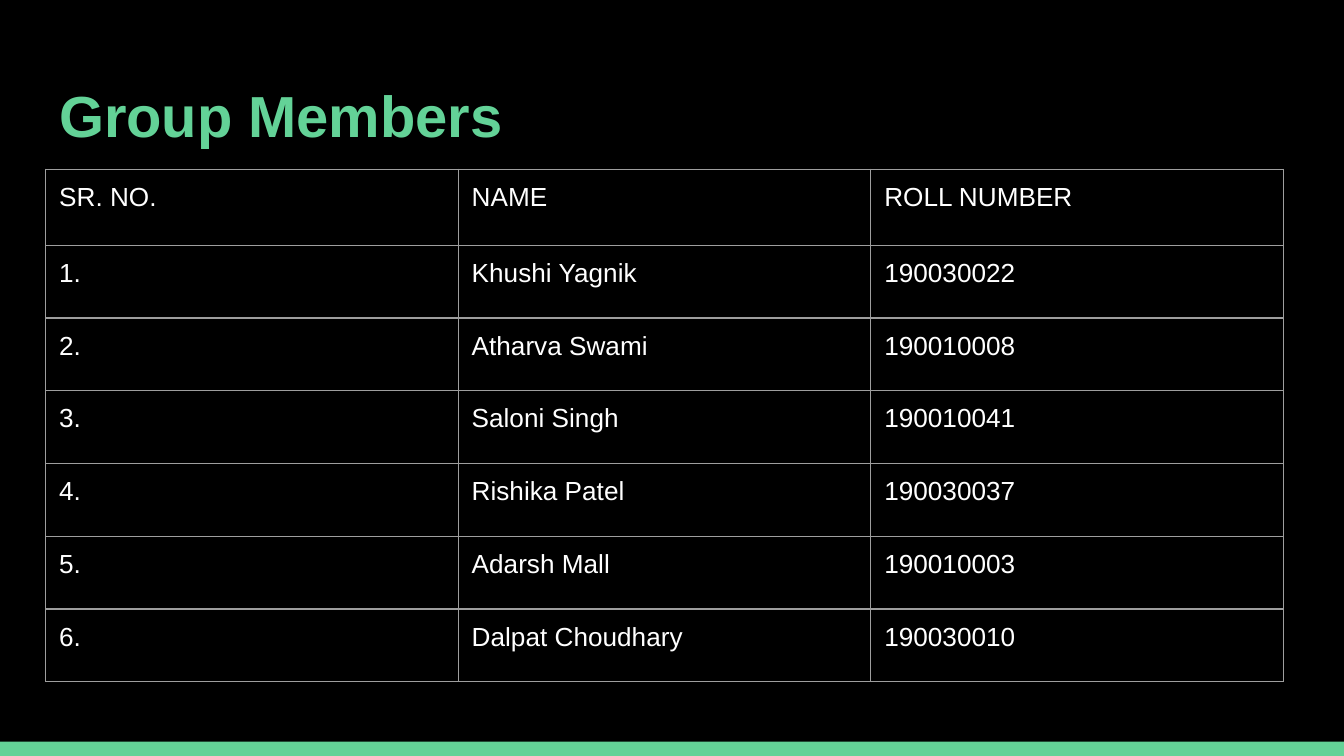
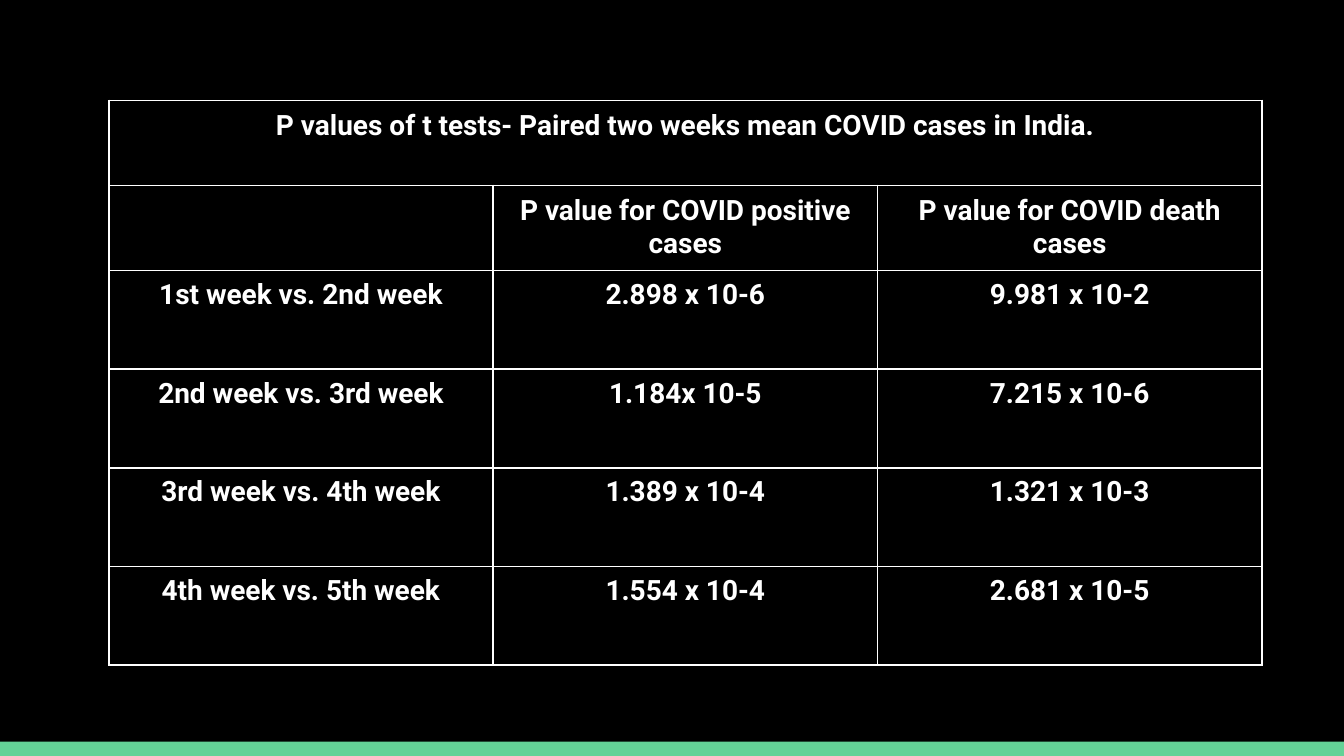
from dataclasses import dataclass

from lxml import etree
from pptx import Presentation
from pptx import util as u
from pptx.dml.color import RGBColor
from pptx.enum import shapes, text
from pptx.oxml import ns

WIDTH, HEIGHT = u.Inches(10), u.Inches(5.625)
BLACK, GREEN, WHITE, GREY = "000000", "63D297", "FFFFFF", "9E9E9E"
LEFT, CENTER = text.PP_ALIGN.LEFT, text.PP_ALIGN.CENTER


@dataclass(frozen=True)
class Row:
    """A table row: its texts, height in percent of the slide, margin and space after."""
    texts: tuple
    height: float
    margin: float = 0.1
    after: float = 0


@dataclass(frozen=True)
class Grid:
    """A table: place and column width in percent of the slide, border and text format."""
    left: float
    top: float
    column: float
    border: str
    line: float
    align: int
    font: dict
    rows: tuple


MEMBERS = (("Khushi Yagnik", "190030022"), ("Atharva Swami", "190010008"),
           ("Saloni Singh", "190010041"), ("Rishika Patel", "190030037"),
           ("Adarsh Mall", "190010003"), ("Dalpat Choudhary", "190030010"))
P_VALUES = (("1st week vs. 2nd week", "2.898 x 10-6", "9.981 x 10-2"),
            ("2nd week vs. 3rd week", "1.184x 10-5", "7.215 x 10-6"),
            ("3rd week vs. 4th week", "1.389 x 10-4", "1.321 x 10-3"),
            ("4th week vs. 5th week", "1.554 x 10-4", "2.681 x 10-5"))

TITLE_FONT = {"name": "Arial", "size": u.Pt(31), "bold": True}
MEMBER_GRID = Grid(
    3.4, 22.4, 30.7, GREY, 0.75, LEFT,
    {"name": "Arial", "size": u.Pt(14), "bold": False},
    (Row(("SR. NO.", "NAME", "ROLL NUMBER"), 10.05),
     *(Row((f"{n}.", *member), 9.63) for n, member in enumerate(MEMBERS, 1))))
P_VALUE_GRID = Grid(
    8.1, 13.3, 28.6, WHITE, 1, CENTER,
    {"name": "Roboto", "size": u.Pt(15), "bold": True},
    (Row(("P values of t tests- Paired two weeks mean COVID cases in India.",),
         11.24, 0.07),
     Row(("", "P value for COVID positive cases", "P value for COVID death cases"),
         11.24, 0.07),
     *(Row(values, 13.06, 0.06, 15) for values in P_VALUES)))


def across(percent: float) -> int:
    """Turn a share of the slide's width into a length."""
    return round(WIDTH * percent / 100)


def down(percent: float) -> int:
    """Turn a share of the slide's height into a length."""
    return round(HEIGHT * percent / 100)


def paint(fill, color: str) -> None:
    """Fill with one solid colour."""
    fill.solid()
    fill.fore_color.rgb = RGBColor.from_string(color)


def assign(target, formats: dict) -> None:
    """Set each format value as an attribute."""
    for name, value in formats.items():
        setattr(target, name, value)


def write(p, words: str, font: dict, color: str, align: int, after: float = 0) -> None:
    """Write one formatted run into a paragraph."""
    assign(p, {"alignment": align, "space_after": u.Pt(after)})
    r = p.add_run()
    r.text = words
    assign(r.font, font)
    r.font.color.rgb = RGBColor.from_string(color)


def add_borders(cell, color: str, width: float) -> None:
    """Draw the four sides of a cell."""
    tc_pr = cell._tc.get_or_add_tcPr()
    for i, side in enumerate(("a:lnL", "a:lnR", "a:lnT", "a:lnB")):
        ln = etree.Element(ns.qn(side), w=str(u.Pt(width)))
        fill = etree.SubElement(ln, ns.qn("a:solidFill"))
        etree.SubElement(fill, ns.qn("a:srgbClr"), val=color)
        tc_pr.insert(i, ln)


def add_title(slide, words: str) -> None:
    """Place and fill the title placeholder."""
    sp = slide.shapes.title
    assign(sp, {"left": across(3.4), "top": down(8.7),
                "width": across(93.2), "height": down(11.2)})
    tf = sp.text_frame
    margins = dict.fromkeys(
        ("margin_left", "margin_right", "margin_top", "margin_bottom"), u.Inches(0.1))
    assign(tf, {**margins, "word_wrap": True, "auto_size": text.MSO_AUTO_SIZE.NONE,
                "vertical_anchor": text.MSO_ANCHOR.TOP})
    write(tf.paragraphs[0], words, TITLE_FONT, GREEN, LEFT)


def add_grid(slide, grid: Grid) -> None:
    """Draw a bordered table, merging across any row with a single text."""
    count = max(len(row.texts) for row in grid.rows)
    table = slide.shapes.add_table(
        len(grid.rows), count, across(grid.left), down(grid.top),
        across(grid.column * count), down(sum(row.height for row in grid.rows))).table
    assign(table, {"first_row": False, "horz_banding": False})
    for column in table.columns:
        column.width = across(grid.column)
    for i, row in enumerate(grid.rows):
        table.rows[i].height = down(row.height)
        if len(row.texts) == 1:
            table.cell(i, 0).merge(table.cell(i, count - 1))
        for j in range(count):
            cell = table.cell(i, j)
            cell.fill.background()
            add_borders(cell, grid.border, grid.line)
            assign(cell, dict.fromkeys(
                ("margin_left", "margin_right", "margin_top", "margin_bottom"),
                u.Inches(row.margin)))
            if j < len(row.texts) and row.texts[j]:
                write(cell.text_frame.paragraphs[0], row.texts[j], grid.font,
                      WHITE, grid.align, row.after)


def style_master(prs, slide) -> None:
    """Give the master its background and the band along the bottom."""
    master = prs.slide_master
    paint(master.background.fill, BLACK)
    band = slide.shapes.add_shape(
        shapes.MSO_SHAPE.RECTANGLE, 0, down(98.1), WIDTH, down(1.9))
    band.shadow.inherit = False
    paint(band.fill, GREEN)
    band.line.fill.background()
    master.shapes.element.insert(2, band.element)


def main() -> None:
    """Build the two slides and save them."""
    prs = Presentation()
    assign(prs, {"slide_width": WIDTH, "slide_height": HEIGHT})
    members = prs.slides.add_slide(prs.slide_layouts.get_by_name("Title Only"))
    style_master(prs, members)
    add_title(members, "Group Members")
    add_grid(members, MEMBER_GRID)
    tests = prs.slides.add_slide(prs.slide_layouts.get_by_name("Blank"))
    add_grid(tests, P_VALUE_GRID)
    prs.save("out.pptx")


if __name__ == "__main__":
    main()
